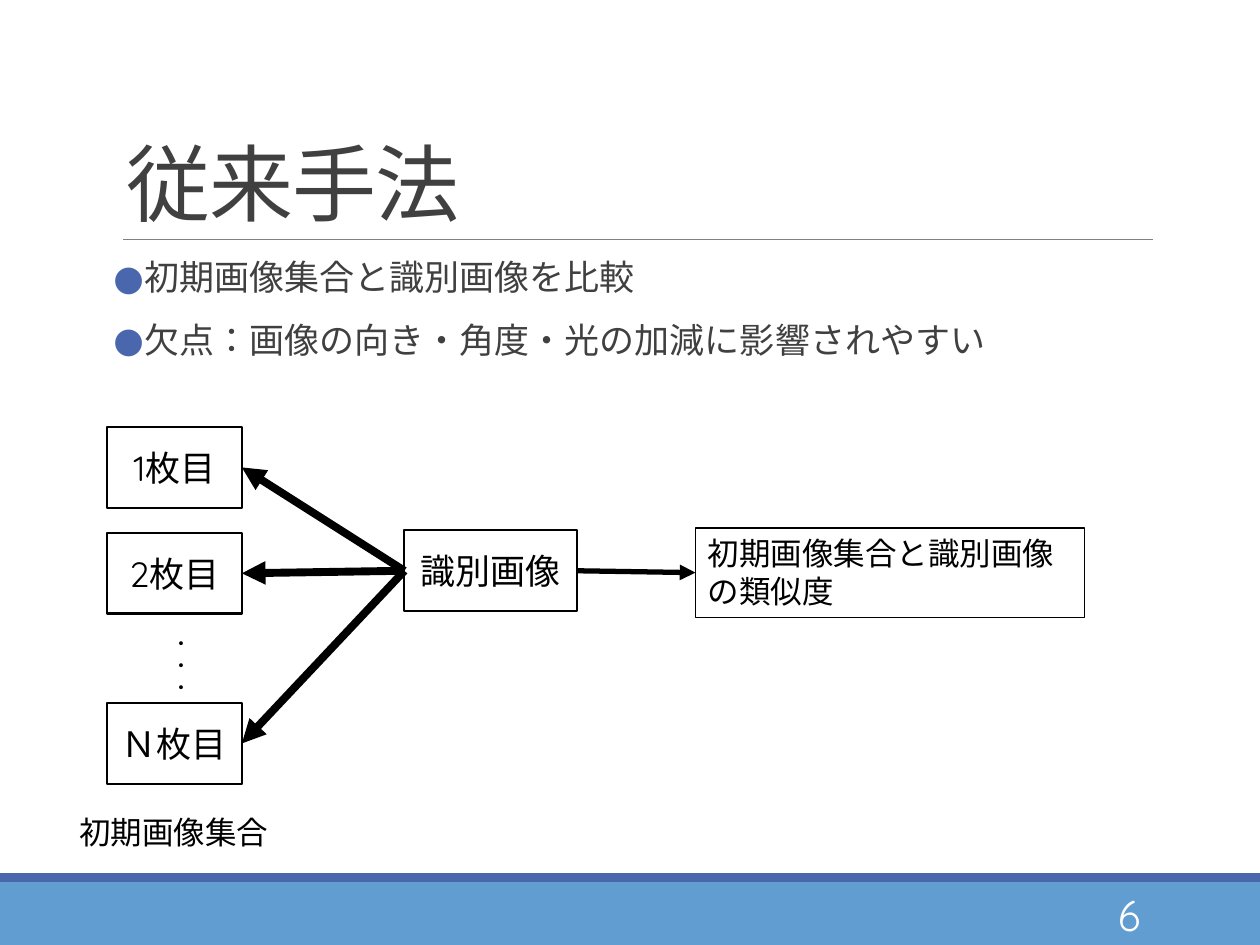
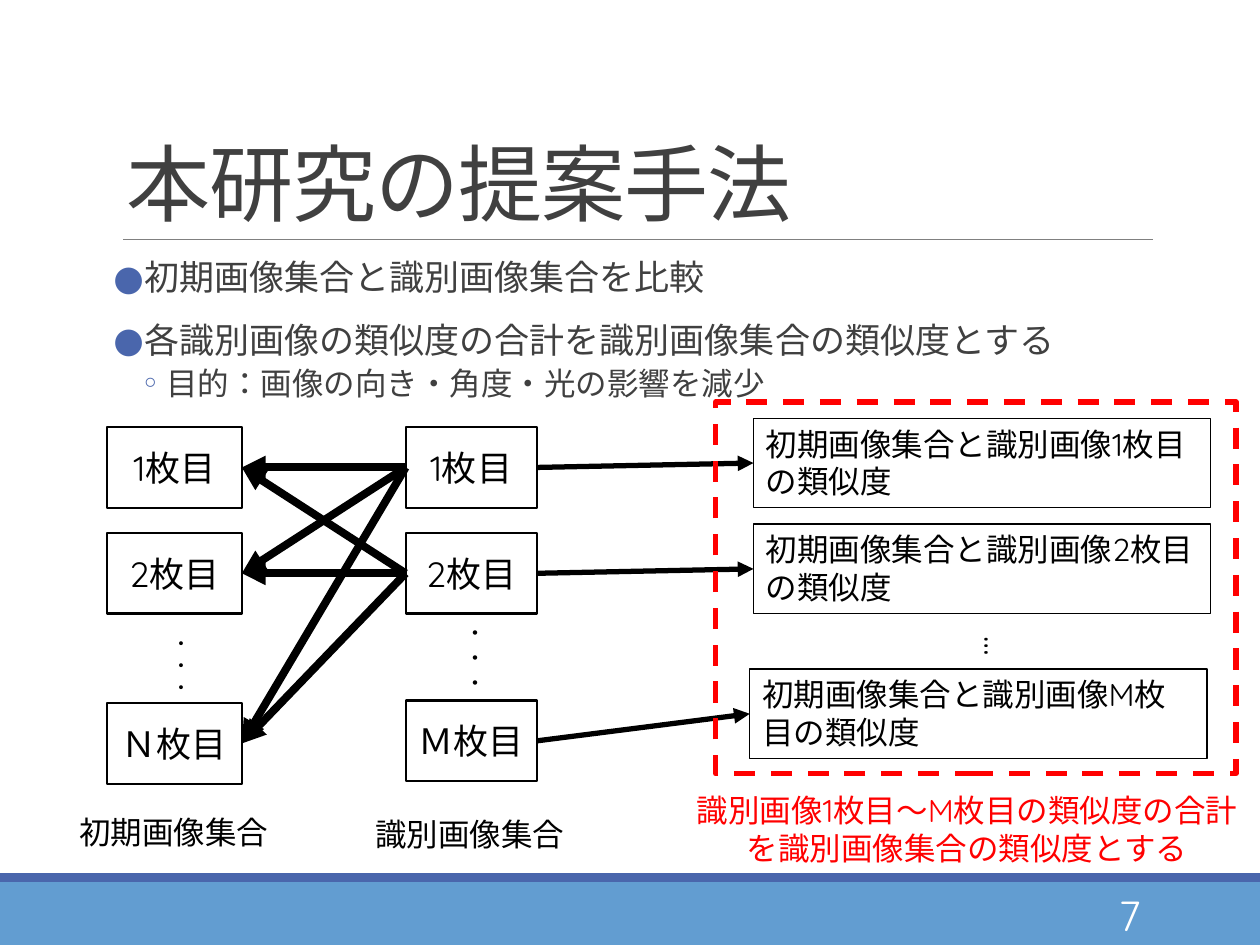
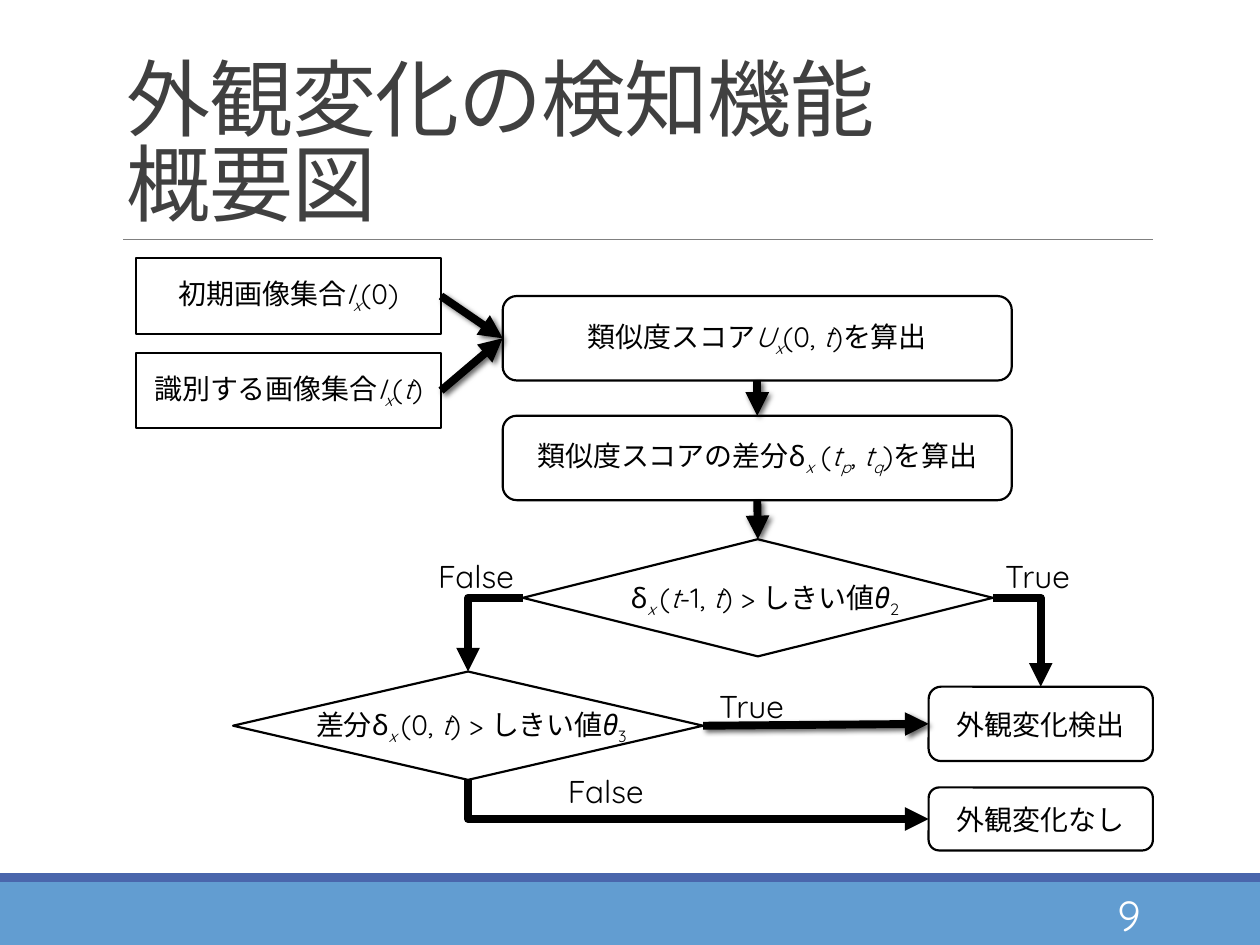
from dataclasses import dataclass
from itertools import product
from typing import NamedTuple, Optional, Union

from lxml.etree import SubElement
from pptx import Presentation
from pptx.dml.color import RGBColor
from pptx.enum.dml import MSO_LINE
from pptx.enum.lang import MSO_LANGUAGE_ID as LANGUAGE
from pptx.enum.shapes import MSO_CONNECTOR as CONNECTOR
from pptx.enum.shapes import MSO_SHAPE as SHAPE
from pptx.enum.text import MSO_ANCHOR as ANCHOR
from pptx.enum.text import PP_ALIGN as ALIGN
from pptx.oxml.ns import qn
from pptx.util import Inches, Pt

BLACK = RGBColor(0x00, 0x00, 0x00)
WHITE = RGBColor(0xFF, 0xFF, 0xFF)
RED = RGBColor(0xFF, 0x00, 0x00)
TEXT_GRAY = RGBColor(0x40, 0x40, 0x40)
RULE_GRAY = RGBColor(0x80, 0x80, 0x80)
DARK_BLUE = RGBColor(0x4A, 0x66, 0xAC)
LIGHT_BLUE = RGBColor(0x62, 0x9D, 0xD1)
FONT = "Quicksand"
TOP, LEFT, BOTTOM, RIGHT = range(4)


class Area(NamedTuple):
    left: float
    top: float
    width: float
    height: float

    def lengths(self) -> tuple:
        return tuple(Inches(value) for value in self)


class Piece(NamedTuple):
    text: str
    italic: bool = False
    subscript: bool = False


Content = Union[str, tuple]


class Style(NamedTuple):
    size: float = 20
    color: RGBColor = BLACK
    align: ALIGN = ALIGN.CENTER
    anchor: ANCHOR = ANCHOR.MIDDLE
    vertical: bool = False


@dataclass
class Bullet:
    text: str
    symbol: str = "●"
    size: float = 20
    margin: float = 0.1
    hanging: float = 0.1
    before: float = 12
    after: float = 2


@dataclass
class ImageSet:
    labels: tuple
    left: float
    width: float
    last_top: float
    dots: Area
    dots_size: float
    caption: str
    caption_area: Area


IMAGE_STYLE = Style()
FLOW_STYLE = Style(size=16)
LABEL_STYLE = Style(size=18, align=ALIGN.LEFT, anchor=ANCHOR.TOP)
CONDITION_STYLE = Style(size=16, anchor=ANCHOR.TOP)

INITIAL_SET = ImageSet(("1枚目", "2枚目", "Ｎ枚目"), 0.85, 1.07, 5.58,
                       Area(1.05, 5.03, 0.74, 0.38), 10.5,
                       "初期画像集合", Area(0.53, 6.4, 1.76, 0.4))
TARGET_SET = ImageSet(("1枚目", "2枚目", "Ｍ枚目"), 3.22, 1.04, 5.56,
                      Area(3.34, 4.95, 0.81, 0.42), 12,
                      "識別画像集合", Area(2.88, 6.42, 1.71, 0.4))


def var(text: str) -> Piece:
    return Piece(text, italic=True)


def sub(text: str, italic: bool = True) -> Piece:
    return Piece(text, italic, subscript=True)


def format_run(run, size: float, color: RGBColor) -> None:
    run.font.size = Pt(size)
    run.font.name = FONT
    run.font.color.rgb = color
    run.font.language_id = LANGUAGE.JAPANESE
    SubElement(run.font._element, qn("a:ea"), typeface=FONT)


def write(shape, content: Content, style: Style) -> None:
    frame = shape.text_frame
    frame.word_wrap = True
    frame.vertical_anchor = style.anchor
    if style.vertical:
        frame._txBody.bodyPr.set("vert", "eaVert")
    paragraph = frame.paragraphs[0]
    paragraph.alignment = style.align
    if isinstance(content, str):
        paragraph.text = content
    else:
        for part in content:
            piece = Piece(part) if isinstance(part, str) else part
            run = paragraph.add_run()
            run.text = piece.text
            run.font.italic = piece.italic
            if piece.subscript:
                run.font._element.set("baseline", "-25000")
    for run in paragraph.runs:
        format_run(run, style.size, style.color)


def draw_label(shapes, area: Area, content: Content, style: Style = LABEL_STYLE):
    label = shapes.add_textbox(*area.lengths())
    write(label, content, style)
    return label


def draw_box(shapes, area: Area, content: Content = "", style: Style = IMAGE_STYLE,
             kind: SHAPE = SHAPE.RECTANGLE, fill: Optional[RGBColor] = WHITE,
             line: Optional[RGBColor] = BLACK, line_width: float = 1.25):
    box = shapes.add_shape(kind, *area.lengths())
    box.shadow.inherit = False
    if fill is None:
        box.fill.background()
    else:
        box.fill.solid()
        box.fill.fore_color.rgb = fill
    if line is None:
        box.line.fill.background()
    else:
        box.line.color.rgb = line
        box.line.width = Pt(line_width)
    if content:
        write(box, content, style)
    return box


def draw_line(shapes, kind: CONNECTOR, color: RGBColor, width: float, ends: tuple = (0, 0, 0, 0)):
    line = shapes.add_connector(kind, *(Inches(value) for value in ends))
    line.line.color.rgb = color
    line.line.width = Pt(width)
    SubElement(line._element.spPr, qn("a:effectLst"))
    return line


def draw_arrow(shapes, source, source_side: int, target, target_side: int,
               width: float = 4.5, shadow: bool = False, bent: bool = False):
    arrow = draw_line(shapes, CONNECTOR.ELBOW if bent else CONNECTOR.STRAIGHT, BLACK, width)
    arrow.begin_connect(source, source_side)
    arrow.end_connect(target, target_side)
    properties = arrow._element.spPr
    SubElement(properties.find(qn("a:ln")), qn("a:tailEnd"), type="triangle")
    if shadow:
        cast = SubElement(properties.find(qn("a:effectLst")), qn("a:outerShdw"),
                          blurRad=str(Pt(3)), dist=str(Pt(2)), dir="2700000", algn="tl")
        tint = SubElement(cast, qn("a:srgbClr"), val=str(BLACK))
        SubElement(tint, qn("a:alpha"), val="60000")
    if bent:
        properties.find(qn("a:prstGeom")).set("prst", "bentConnector2")
        if source_side == BOTTOM:
            across, down = arrow.width, arrow.height
            arrow.left += (across - down) // 2
            arrow.top += (down - across) // 2
            arrow.width, arrow.height = down, across
            transform = properties.find(qn("a:xfrm"))
            transform.set("rot", "16200000")
            transform.set("flipH", "1")
    return arrow


def draw_bullets(shapes, bullets: tuple) -> None:
    body = shapes.add_textbox(*Area(0.9, 2.02, 8.25, 4.4).lengths())
    frame = body.text_frame
    frame.word_wrap = True
    frame.margin_left = frame.margin_right = 0
    for index, bullet in enumerate(bullets):
        paragraph = frame.add_paragraph() if index else frame.paragraphs[0]
        paragraph.text = bullet.text
        paragraph.line_spacing = 0.9
        paragraph.space_before = Pt(bullet.before)
        paragraph.space_after = Pt(bullet.after)
        format_run(paragraph.runs[0], bullet.size, TEXT_GRAY)
        properties = paragraph._p.get_or_add_pPr()
        properties.set("marL", str(Inches(bullet.margin)))
        properties.set("indent", str(Inches(-bullet.hanging)))
        tint = SubElement(properties, qn("a:buClr"))
        SubElement(tint, qn("a:srgbClr"), val=str(DARK_BLUE))
        SubElement(properties, qn("a:buFont"), typeface=FONT)
        SubElement(properties, qn("a:buChar"), char=bullet.symbol)


def start_slide(deck, title: str, number: int):
    slide = deck.slides.add_slide(deck.slide_layouts[5])
    shapes = slide.shapes
    heading = shapes.title
    heading.left, heading.top, heading.width, heading.height = Area(0.9, 0.31, 8.25, 1.59).lengths()
    write(heading, title, Style(48, TEXT_GRAY, ALIGN.LEFT, ANCHOR.BOTTOM))
    paragraph = heading.text_frame.paragraphs[0]
    paragraph.line_spacing = 0.85
    for run in paragraph.runs:
        run.font._element.set("spc", "-50")
    draw_box(shapes, Area(0, 7, 10, 0.5), fill=LIGHT_BLUE, line=None)
    draw_box(shapes, Area(0, 6.93, 10, 0.07), fill=DARK_BLUE, line=None)
    draw_line(shapes, CONNECTOR.STRAIGHT, RULE_GRAY, 0.5, (0.98, 1.9, 9.15, 1.9))
    draw_label(shapes, Area(8.07, 7.06, 1.08, 0.4), str(number), Style(24, WHITE, ALIGN.RIGHT))
    return shapes


def draw_image_set(shapes, images: ImageSet) -> list:
    dots = draw_box(shapes, images.dots, "・・・",
                    Style(images.dots_size, anchor=ANCHOR.TOP, vertical=True), line=None)
    dots.rotation = 90
    draw_label(shapes, images.caption_area, images.caption)
    return [draw_box(shapes, Area(images.left, top, images.width, 0.64), label)
            for label, top in zip(images.labels, (3.39, 4.23, images.last_top))]


def draw_result(shapes, area: Area, text: str, source) -> None:
    result = draw_box(shapes, area, text, LABEL_STYLE, fill=None, line_width=0.75)
    draw_arrow(shapes, source, RIGHT, result, LEFT, width=3)


def draw_decision(shapes, area: Area, text_area: Area, condition: tuple, align: ALIGN):
    group = shapes.add_group_shape()
    draw_label(group.shapes, text_area, condition, CONDITION_STYLE._replace(align=align))
    return draw_box(group.shapes, area, kind=SHAPE.FLOWCHART_DECISION, fill=None)


def build_conventional(deck) -> None:
    shapes = start_slide(deck, "従来手法", 6)
    draw_bullets(shapes, (Bullet("初期画像集合と識別画像を比較"),
                          Bullet("欠点：画像の向き・角度・光の加減に影響されやすい")))
    initial = draw_image_set(shapes, INITIAL_SET)
    target = draw_box(shapes, Area(3.21, 4.21, 1.37, 0.64), "識別画像")
    for image in initial:
        draw_arrow(shapes, target, LEFT, image, RIGHT)
    draw_result(shapes, Area(5.52, 4.19, 3.09, 0.71), "初期画像集合と識別画像の類似度", target)


def build_proposed(deck) -> None:
    shapes = start_slide(deck, "本研究の提案手法", 7)
    draw_bullets(shapes, (
        Bullet("初期画像集合と識別画像集合を比較"),
        Bullet("各識別画像の類似度の合計を識別画像集合の類似度とする"),
        Bullet("目的：画像の向き・角度・光の影響を減少", "◦", 18, 0.42, 0.2, 2, 4)))
    initial = draw_image_set(shapes, INITIAL_SET)
    targets = draw_image_set(shapes, TARGET_SET)
    for target, image in product(targets[:2], initial):
        draw_arrow(shapes, target, LEFT, image, RIGHT)
    places = ((5.98, 3.32), (5.98, 4.16), (5.95, 5.31))
    for target, name, (left, top) in zip(targets, "12M", places):
        draw_result(shapes, Area(left, top, 3.63, 0.71),
                    f"初期画像集合と識別画像{name}枚目の類似度", target)
    total = draw_box(shapes, Area(5.68, 3.19, 4.13, 2.95), fill=None, line=RED, line_width=3)
    total.line.dash_style = MSO_LINE.DASH
    draw_label(shapes, Area(7.6, 4.95, 0.54, 0.33), "…", Style(anchor=ANCHOR.TOP, vertical=True))
    draw_label(shapes, Area(5.35, 6.23, 4.65, 0.71),
               "識別画像1枚目～M枚目の類似度の合計を識別画像集合の類似度とする",
               Style(18, RED, anchor=ANCHOR.TOP))


def build_flowchart(deck) -> None:
    shapes = start_slide(deck, "外観変化の検知機能\n概要図", 9)
    inputs = [draw_box(shapes, Area(1.08, top, 2.42, 0.6), content, FLOW_STYLE)
              for top, content in (
                  (2.05, ("初期画像集合", var("I"), sub("x"), "(0)")),
                  (2.8, ("識別する画像集合", var("I"), sub("x"), "(", var("t"), ")")))]
    score, difference, detected, unchanged = [
        draw_box(shapes, area, content, FLOW_STYLE, SHAPE.ROUNDED_RECTANGLE)
        for area, content in (
            (Area(3.99, 2.35, 4.04, 0.67),
             ("類似度スコア", var("U"), sub("x"), "(0, ", var("t"), ")を算出")),
            (Area(3.99, 3.3, 4.04, 0.67),
             ("類似度スコアの差分δ", sub("x"), " (", var("t"), sub("p"), ", ",
              var("t"), sub("q"), ")を算出")),
            (Area(7.37, 5.45, 1.78, 0.59), "外観変化検出"),
            (Area(7.37, 6.25, 1.78, 0.5), "外観変化なし"))]
    recent = draw_decision(
        shapes, Area(4.15, 4.28, 3.73, 0.93), Area(4.61, 4.56, 2.92, 0.32),
        ("δ", sub("x "), "(", var("t"), "-1, ", var("t"), ") > しきい値", var("θ"),
         sub("2", italic=False)), ALIGN.CENTER)
    overall = draw_decision(
        shapes, Area(1.85, 5.33, 3.73, 0.86), Area(2.41, 5.57, 2.92, 0.3),
        ("差分δ", sub("x "), "(0, ", var("t"), ") > しきい値", var("θ"),
         sub("3", italic=False)), ALIGN.LEFT)
    for source, source_side, target, target_side in (
            (inputs[0], RIGHT, score, LEFT), (inputs[1], RIGHT, score, LEFT),
            (score, BOTTOM, difference, TOP), (difference, BOTTOM, recent, TOP),
            (overall, RIGHT, detected, LEFT)):
        draw_arrow(shapes, source, source_side, target, target_side, shadow=True)
    for source, source_side, target, target_side in (
            (recent, RIGHT, detected, TOP), (recent, LEFT, overall, TOP),
            (overall, BOTTOM, unchanged, LEFT)):
        draw_arrow(shapes, source, source_side, target, target_side, bent=True)
    for answer, left, top, width in (("True", 7.88, 4.37, 0.77), ("False", 3.38, 4.37, 1.5),
                                     ("False", 4.41, 6.08, 1.5), ("True", 5.61, 5.4, 0.77)):
        draw_label(shapes, Area(left, top, width, 0.4), answer)


def main() -> None:
    deck = Presentation()
    deck.slide_width, deck.slide_height = Inches(10), Inches(7.5)
    build_conventional(deck)
    build_proposed(deck)
    build_flowchart(deck)
    deck.save("out.pptx")


if __name__ == "__main__":
    main()
